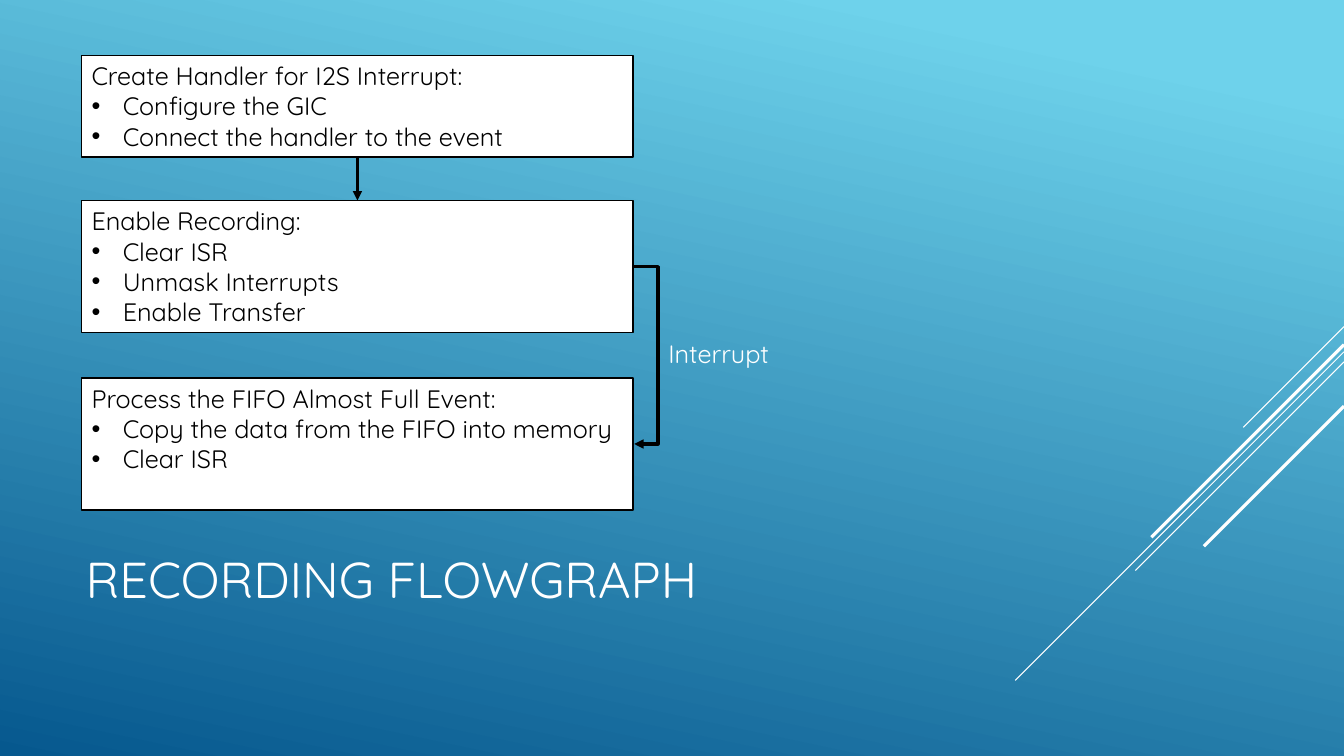
from pptx import Presentation
from pptx.dml.color import RGBColor
from pptx.enum.shapes import MSO_CONNECTOR, MSO_SHAPE
from pptx.enum.text import MSO_ANCHOR, PP_ALIGN
from pptx.oxml.ns import qn
from pptx.util import Inches, Pt
from lxml import etree

TITLE = "RECORDING FLOWGRAPH"
STEPS = [
    (0.55, 1.01, "Create Handler for I2S Interrupt:",
     ["Configure the GIC", "Connect the handler to the event"]),
    (1.99, 1.31, "Enable Recording:",
     ["Clear ISR", "Unmask Interrupts", "Enable Transfer"]),
    (3.75, 1.31, "Process the FIFO Almost Full Event:",
     ["Copy the data from the FIFO into memory", "Clear ISR"]),
]
EVENT = "Interrupt"
DIAGONALS = [(3.24, 1, 0.75), (3.49, 3.26, 0.75), (3.59, 2.07, 0.75),
             (3.42, 1.91, 2.25), (4.03, 1.39, 2.25)]

WIDTH, HEIGHT = 13.33, 7.5
STEP_LEFT, STEP_WIDTH = 0.81, 5.47
STEP_RIGHT = STEP_LEFT + STEP_WIDTH
ELBOW_WIDTH, ELBOW_REACH = 0.01, 0.25
INDENT = Inches(0.31)
FONT = "Quicksand"
WHITE = RGBColor(0xFF, 0xFF, 0xFF)
BLACK = RGBColor(0, 0, 0)
SKY = RGBColor(0x6E, 0xD2, 0xEB)
NAVY = RGBColor(0x06, 0x58, 0x8E)
STRAIGHT, ELBOW = MSO_CONNECTOR.STRAIGHT, MSO_CONNECTOR.ELBOW
RECTANGLE = MSO_SHAPE.RECTANGLE
TOP, MIDDLE = MSO_ANCHOR.TOP, MSO_ANCHOR.MIDDLE
LEFT = PP_ALIGN.LEFT
BOTTOM_SIDE, TOP_SIDE, RIGHT_SIDE = 2, 0, 3


def format_paragraph(p, size, color):
    p.alignment = LEFT
    for r in p.runs:
        r.font.name = FONT
        r.font.size = Pt(size)
        r.font.color.rgb = color


def add_bullet(p):
    pPr = p._p.get_or_add_pPr()
    pPr.set("marL", str(INDENT))
    pPr.set("indent", str(-INDENT))
    etree.SubElement(pPr, qn("a:buFont")).set("typeface", "Arial")
    etree.SubElement(pPr, qn("a:buChar")).set("char", "•")


def add_line(kind, x1, y1, x2, y2, color, weight):
    line = slide.shapes.add_connector(
        kind, Inches(x1), Inches(y1), Inches(x2), Inches(y2))
    line.line.color.rgb = color
    line.line.width = Pt(weight)
    etree.SubElement(line._element.spPr, qn("a:effectLst"))
    return line


def add_arrow(kind, start, start_side, end, end_side):
    arrow = add_line(kind, 0, 0, WIDTH, HEIGHT, BLACK, 2.25)
    arrow.begin_connect(start, start_side)
    arrow.end_connect(end, end_side)
    ln = arrow.line._get_or_add_ln()
    etree.SubElement(ln, qn("a:tailEnd")).set("type", "triangle")
    return arrow


def add_step(top, height, heading, bullets):
    sp = slide.shapes.add_shape(RECTANGLE, Inches(STEP_LEFT), Inches(top),
                                Inches(STEP_WIDTH), Inches(height))
    sp.shadow.inherit = False
    sp.fill.solid()
    sp.fill.fore_color.rgb = WHITE
    sp.line.color.rgb = BLACK
    sp.line.width = Pt(1.25)
    tf = sp.text_frame
    tf.word_wrap = True
    tf.vertical_anchor = TOP
    tf.text = "\n".join([heading] + bullets)
    for i, p in enumerate(tf.paragraphs):
        format_paragraph(p, 18, BLACK)
        if i:
            add_bullet(p)
    return sp


prs = Presentation()
prs.slide_width, prs.slide_height = Inches(WIDTH), Inches(HEIGHT)
slide = prs.slides.add_slide(prs.slide_layouts[5])

fill = slide.background.fill
fill.gradient()
fill.gradient_angle = 258
for stop, position, color in zip(fill.gradient_stops, (0.1, 1), (SKY, NAVY)):
    stop.position = position
    stop.color.rgb = color

for y, run, weight in DIAGONALS:
    add_line(STRAIGHT, WIDTH, y, WIDTH - run, y + run, WHITE, weight)

title = slide.shapes.title
title.left, title.top = Inches(0.75), Inches(4.91)
title.width, title.height = Inches(9.33), Inches(1.65)
title.text_frame.text = TITLE
title.text_frame.vertical_anchor = MIDDLE
format_paragraph(title.text_frame.paragraphs[0], 36, WHITE)

create, enable, process = [add_step(*step) for step in STEPS]
add_arrow(STRAIGHT, create, BOTTOM_SIDE, enable, TOP_SIDE)
elbow = add_arrow(ELBOW, enable, RIGHT_SIDE, process, RIGHT_SIDE)
elbow.width = Inches(ELBOW_WIDTH)
guide = etree.SubElement(elbow._element.spPr.prstGeom.get_or_add_avLst(), qn("a:gd"))
guide.set("name", "adj1")
guide.set("fmla", f"val {round(ELBOW_REACH / ELBOW_WIDTH * 100000)}")

label = slide.shapes.add_textbox(Inches(STEP_RIGHT + ELBOW_REACH), Inches(3.31),
                                 Inches(1.24), Inches(0.4))
label.text_frame.word_wrap = True
label.text_frame.text = EVENT
format_paragraph(label.text_frame.paragraphs[0], 18, WHITE)

prs.save("out.pptx")
